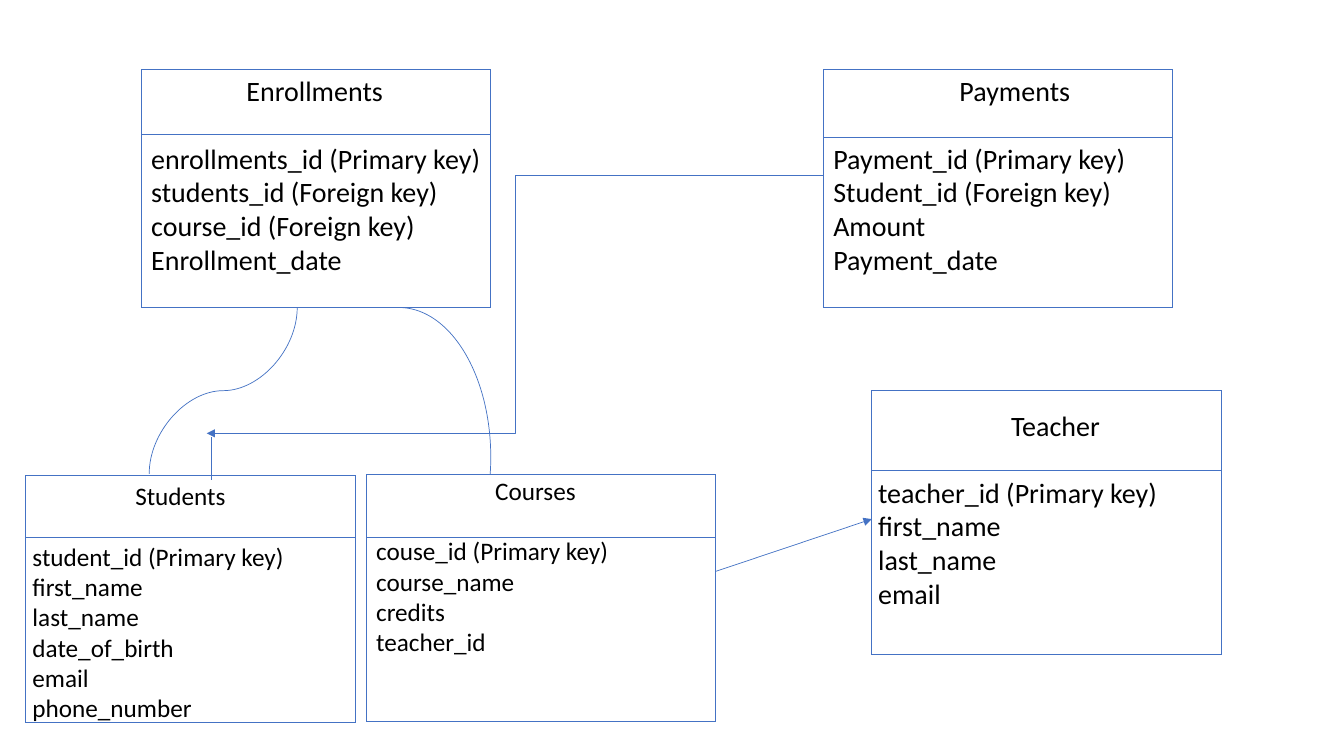
from lxml.etree import SubElement
from pptx import Presentation
from pptx.dml.color import RGBColor
from pptx.enum.shapes import MSO_CONNECTOR, MSO_SHAPE
from pptx.oxml.ns import qn
from pptx.util import Cm, Pt

COLORS = {"line": "4472C4", "text": "000000"}

# name, box (left, top, width, height), header height,
# text offset (x, y), title indent, font size, fields; lengths in cm
TABLES = [
    ("Enrollments", (3.56, 1.74, 8.81, 6.01), 1.64, (0, 0), 2.4, 20,
     ["enrollments_id (Primary key)", "students_id (Foreign key)",
      "course_id (Foreign key)", "Enrollment_date"]),
    ("Payments", (20.75, 1.74, 8.79, 6.01), 1.72, (0, 0), 3.18, 20,
     ["Payment_id (Primary key)", "Student_id (Foreign key)",
      "Amount", "Payment_date"]),
    ("Teacher", (21.97, 9.83, 8.8, 6.67), 2.03, (-0.09, 0.33), 3.35, 20,
     ["teacher_id (Primary key)", "first_name", "last_name", "email"]),
    ("Students", (0.64, 11.99, 8.32, 6.2), 1.55, (-0.07, 0), 2.59, 18,
     ["student_id (Primary key)", "first_name", "last_name",
      "date_of_birth", "email", "phone_number"]),
    ("Courses", (9.23, 11.95, 8.8, 6.24), 1.59, (0, -0.1), 3, 18,
     ["couse_id (Primary key)", "course_name", "credits", "teacher_id"]),
]


def color(name):
    return RGBColor.from_string(COLORS[name])


def outline(shape):
    shape.line.color.rgb = color("line")
    shape.line.width = Pt(0.5)


def link(slide, start, end, kind=MSO_CONNECTOR.STRAIGHT, arrow=False):
    line = slide.shapes.add_connector(kind, *map(Cm, start + end))
    outline(line)
    if arrow:
        SubElement(line.line._get_or_add_ln(), qn("a:tailEnd"), type="triangle")
    SubElement(line._element.spPr, qn("a:effectLst"))
    return line


def grid(slide, box, head):
    """Draw the frame of a table and the rule below its header."""
    left, top, width, height = box
    right, bottom = left + width, top + height
    for y in (top, top + head, bottom):
        link(slide, (left, y), (right, y))
    for x in (left, right):
        link(slide, (x, top), (x, bottom))


def entity(slide, name, box, head, shift, indent, size, fields):
    """Draw a framed table with its title and its fields."""
    left, top, width, height = box
    grid(slide, box, head)
    text = slide.shapes.add_textbox(
        Cm(left + shift[0]), Cm(top + shift[1]), Cm(width + 0.5), Cm(height))
    frame = text.text_frame
    frame.word_wrap = True
    frame.text = "\n".join([name] + fields)
    for para in frame.paragraphs:
        para.font.name = "Calibri"
        para.font.size = Pt(size)
        para.font.color.rgb = color("text")
    title = frame.paragraphs[0]
    title.space_after = Pt(size * 1.2)
    title._p.get_or_add_pPr().set("marL", str(Cm(indent)))


def links(slide):
    """Draw the relations between the tables."""
    arc = slide.shapes.add_shape(
        MSO_SHAPE.ARC, Cm(7.75), Cm(7.75), Cm(4.62), Cm(7.54))
    arc.shadow.inherit = False
    arc.fill.background()
    outline(arc)
    arc.adjustments[0] = 162
    arc.adjustments[1] = 6.324
    curve = link(slide, (3.53, 7.98), (7.72, 11.71), MSO_CONNECTOR.CURVE)
    curve._element.spPr.find(qn("a:xfrm")).set("rot", str(90 * 60000))
    link(slide, (18.03, 14.4), (21.97, 13.08), arrow=True)
    link(slide, (20.75, 4.43), (5.21, 10.92), MSO_CONNECTOR.ELBOW, True)
    link(slide, (5.33, 11.02), (5.33, 12.09))


def main():
    deck = Presentation()
    deck.slide_width = Cm(33.87)
    deck.slide_height = Cm(19.05)
    slide = deck.slides.add_slide(deck.slide_layouts[6])
    for table in TABLES:
        entity(slide, *table)
    links(slide)
    deck.save("out.pptx")


if __name__ == "__main__":
    main()
